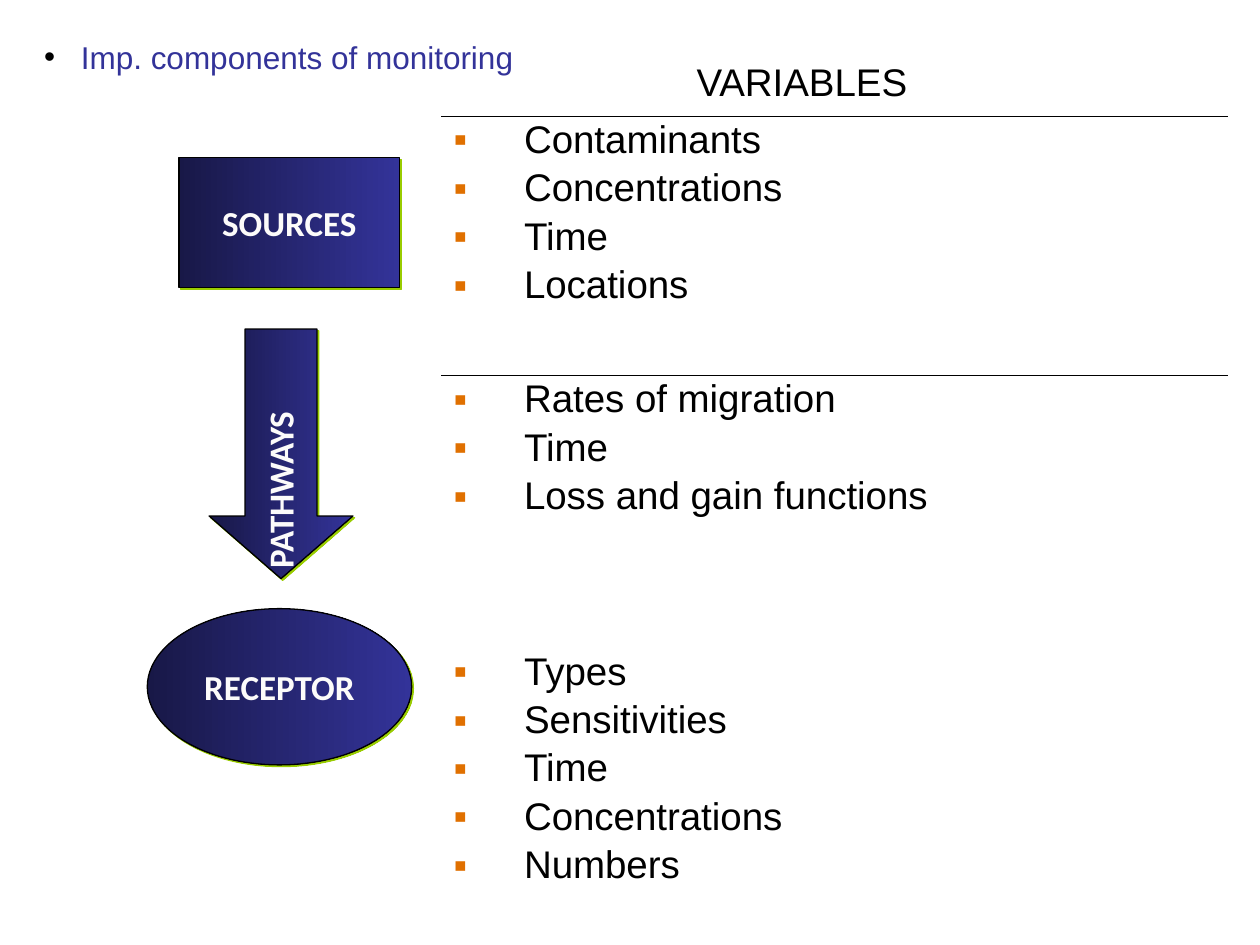
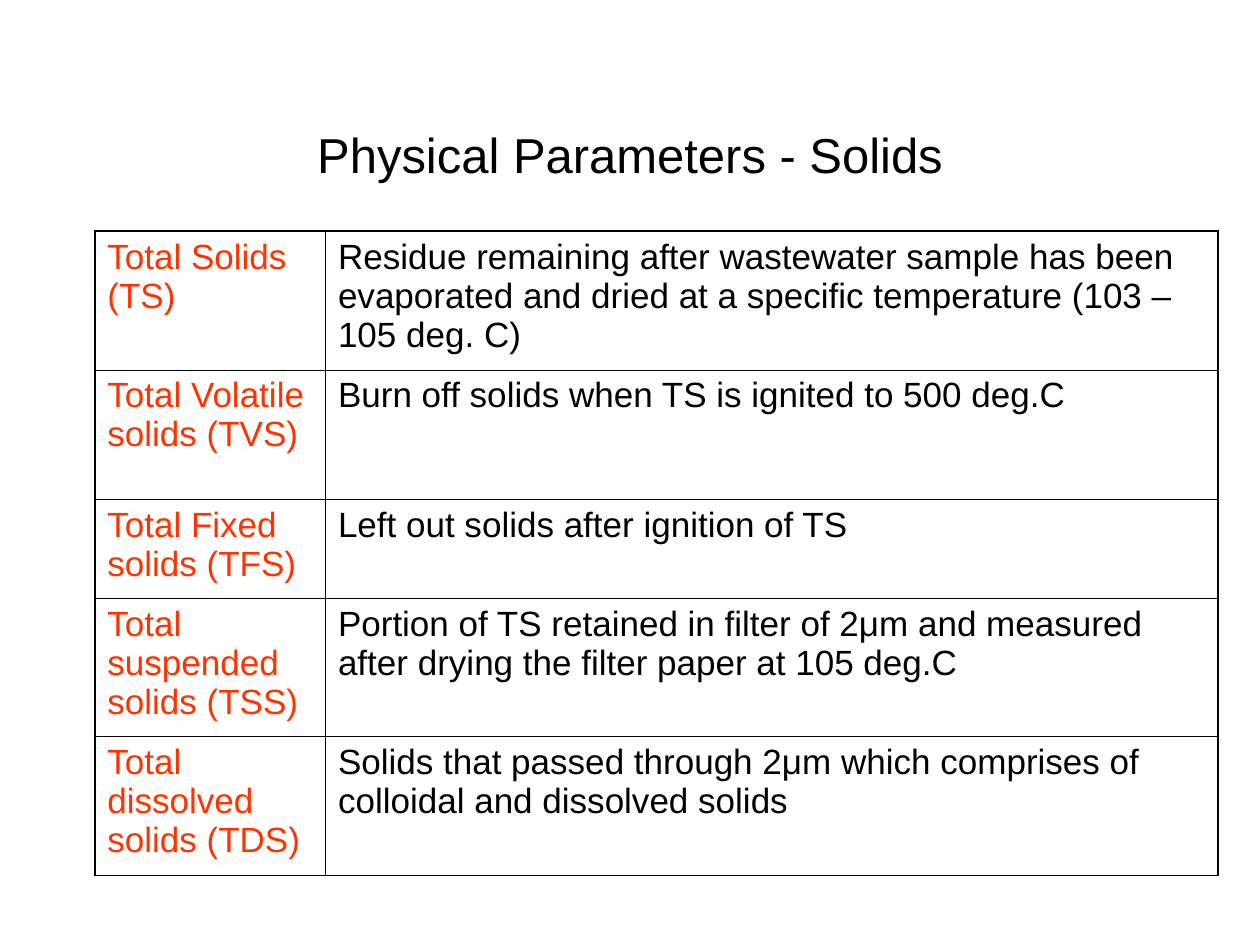
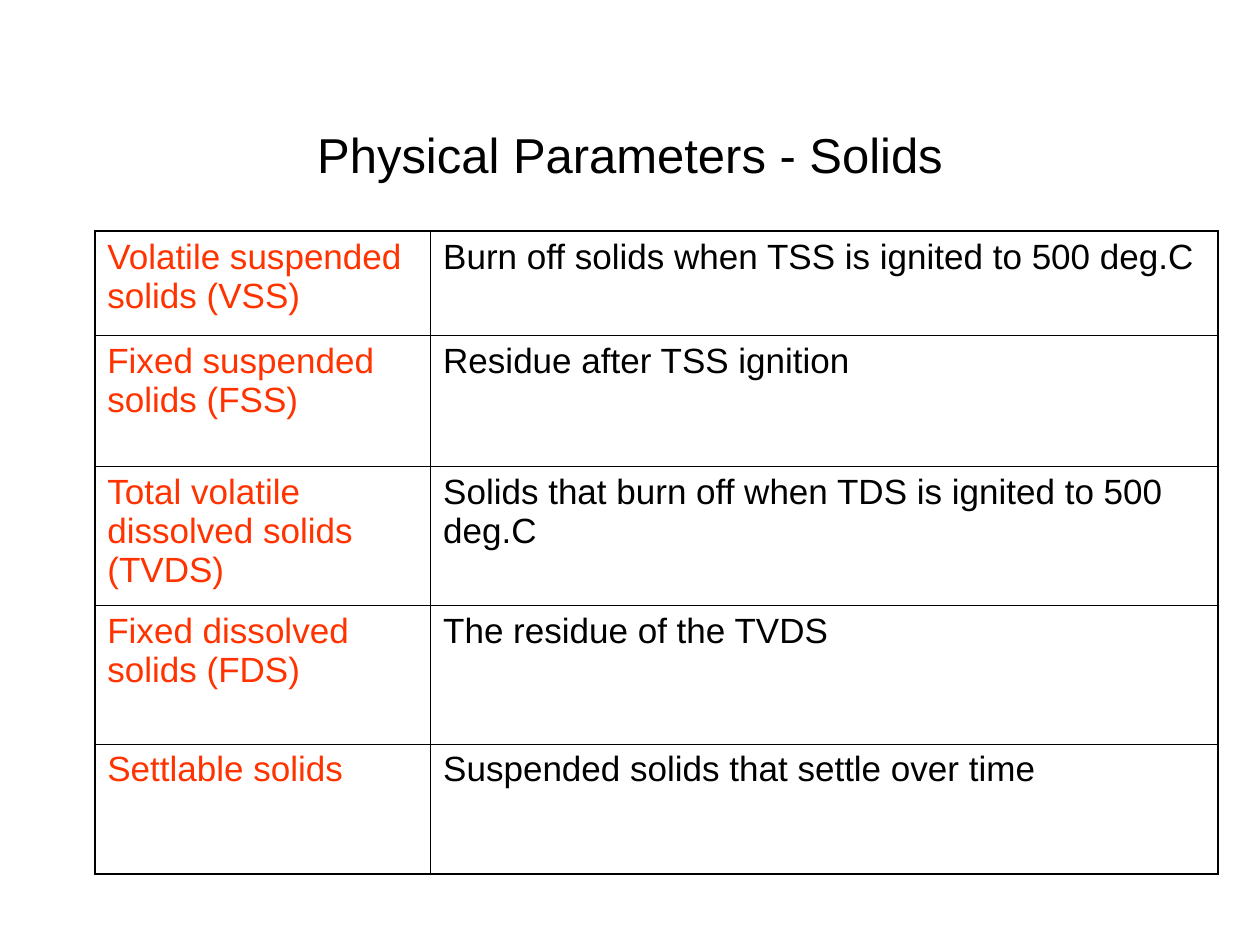
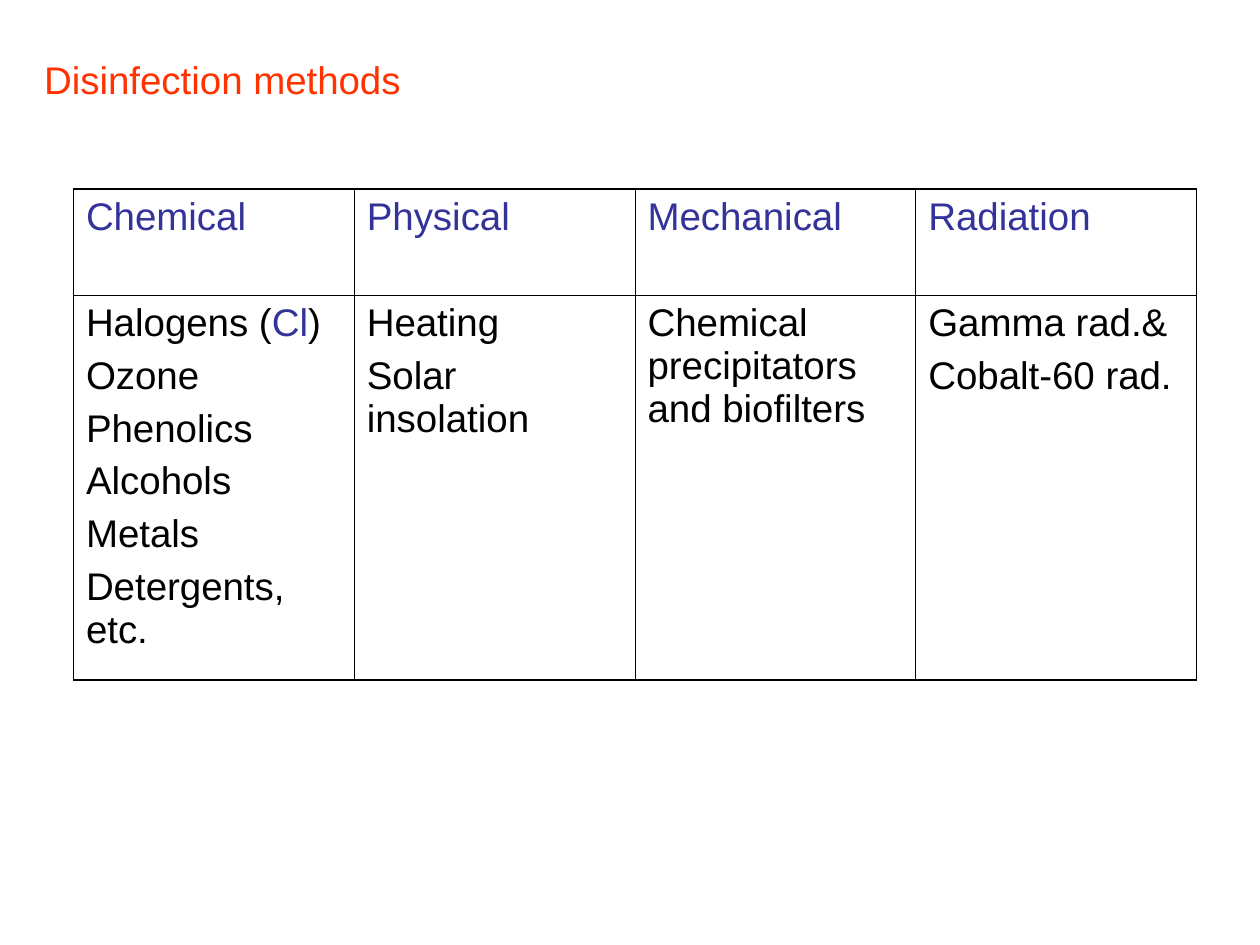
"""Build four slides on environmental monitoring, solids and disinfection."""
from lxml.etree import SubElement
from pptx import Presentation
from pptx.dml.color import RGBColor
from pptx.enum.shapes import MSO_SHAPE
from pptx.enum.text import MSO_ANCHOR, PP_ALIGN
from pptx.oxml.ns import qn
from pptx.util import Cm, Pt

BLACK, WHITE, RED, BLUE = "000000", "FCFBFA", "FF3300", "333399"
NAVY, GREEN, ORANGE = "181847", "99CC00", "E07000"
THICK, THIN = 1.08, 0.45
NO_STYLE = "{2D5ABB26-0587-4C30-8999-92F81FD0307C}"

MONITORING = "Imp. components of monitoring"
STAGES = [
    ("SOURCES", MSO_SHAPE.RECTANGLE, (3.61, 3.18, 4.45, 2.62)),
    ("", MSO_SHAPE.RIGHT_ARROW, (3.15, 7.7, 5.03, 2.9)),
    ("RECEPTOR", MSO_SHAPE.OVAL, (2.97, 12.27, 5.33, 3.15)),
]
VARIABLES = [
    ["Contaminants", "Concentrations", "Time", "Locations"],
    ["Rates of migration", "Time", "Loss and gain functions"],
    ["Types", "Sensitivities", "Time", "Concentrations", "Numbers"],
]
SOLIDS_TITLE = "Physical Parameters - Solids"
SOLIDS = [
    {
        "cols": [4.65, 17.99],
        "rows": [2.79, 2.62, 1.98, 2.79, 2.79],
        "text": [
            ("Total Solids (TS)",
             "Residue remaining after wastewater sample has been evaporated "
             "and dried at a specific temperature (103 – 105 deg. C)"),
            ("Total Volatile solids (TVS)",
             "Burn off solids when TS is ignited to 500 deg.C"),
            ("Total Fixed solids (TFS)", "Left out solids after ignition of TS"),
            ("Total suspended solids (TSS)",
             "Portion of TS retained in filter of 2μm and measured after "
             "drying the filter paper at 105 deg.C"),
            ("Total dissolved solids (TDS)",
             "Solids that passed through 2μm which comprises of colloidal "
             "and dissolved solids"),
        ],
    },
    {
        "cols": [6.77, 15.87],
        "rows": [2.11, 2.64, 2.79, 2.79, 2.62],
        "text": [
            ("Volatile suspended solids (VSS)",
             "Burn off solids when TSS is ignited to 500 deg.C"),
            ("Fixed suspended solids (FSS)", "Residue after TSS ignition"),
            ("Total volatile dissolved solids (TVDS)",
             "Solids that burn off when TDS is ignited to 500 deg.C"),
            ("Fixed dissolved solids (FDS)", "The residue of the TVDS"),
            ("Settlable solids", "Suspended solids that settle over time"),
        ],
    },
]
DISINFECTION = "Disinfection methods"
METHODS = {
    "Chemical": [[("Halogens (", BLACK), ("Cl", BLUE), (")", BLACK)], "Ozone",
                 "Phenolics", "Alcohols", "Metals", "Detergents, etc."],
    "Physical": ["Heating", "Solar insolation"],
    "Mechanical": ["Chemical precipitators and biofilters"],
    "Radiation": ["Gamma rad.&", "Cobalt-60 rad."],
}


def rgb(color):
    return RGBColor.from_string(color)


def add_color(parent, color):
    SubElement(parent, qn("a:srgbClr")).set("val", color)


def write(tf, paras, size=22, color=BLACK, font="Arial", bold=False, align=None,
          before=0, line=None, indent=0, bullet="", bullet_color=BLACK):
    for i, text in enumerate(paras):
        p = tf.add_paragraph() if i else tf.paragraphs[0]
        pPr = p._p.get_or_add_pPr()
        if indent:
            pPr.set("marL", str(Cm(indent)))
            pPr.set("indent", str(-Cm(indent)))
        if bullet:
            add_color(SubElement(pPr, qn("a:buClr")), bullet_color)
            SubElement(pPr, qn("a:buFont")).set("typeface", "Arial")
            SubElement(pPr, qn("a:buChar")).set("char", bullet)
        if align:
            p.alignment = align
        if line:
            p.line_spacing = line
        if i and before:
            p.space_before = Pt(before)
        runs = [(text, color)] if isinstance(text, str) else text
        for run_text, run_color in runs:
            r = p.add_run()
            r.text = run_text
            r.font.size, r.font.name, r.font.bold = Pt(size), font, bold
            r.font.color.rgb = rgb(run_color)


def add_text(slide, box, text, anchor=MSO_ANCHOR.TOP, **fmt):
    tb = slide.shapes.add_textbox(*map(Cm, box))
    tf = tb.text_frame
    tf.word_wrap = True
    tf.vertical_anchor = anchor
    write(tf, [text], **fmt)
    return tb


def add_label(tf, text):
    write(tf, [text], size=20, color=WHITE, font="Calibri", bold=True,
          align=PP_ALIGN.CENTER)


def add_stage(slide, text, kind, box):
    sp = slide.shapes.add_shape(kind, *map(Cm, box))
    sp.fill.gradient()
    sp.fill.gradient_angle = 0
    for stop, color in zip(sp.fill.gradient_stops, (NAVY, BLUE)):
        stop.color.rgb = rgb(color)
    spPr = sp._element.spPr
    spPr.find(qn("a:gradFill")).set("rotWithShape", "0")
    sp.line.color.rgb = rgb(BLACK)
    sp.line.width = Pt(0.75)
    sp.shadow.inherit = False
    shadow = SubElement(spPr.find(qn("a:effectLst")), qn("a:outerShdw"),
                        dist=str(Pt(1.4)), dir="2700000", algn="ctr", rotWithShape="0")
    add_color(shadow, GREEN)
    if text:
        sp.text_frame.word_wrap = False
        sp.text_frame.vertical_anchor = MSO_ANCHOR.MIDDLE
        add_label(sp.text_frame, text)
    return sp


def set_border(cell, side, width):
    ln = SubElement(cell._tc.get_or_add_tcPr(), qn("a:ln" + side), w=str(Pt(width)))
    add_color(SubElement(ln, qn("a:solidFill")), BLACK)


def grid_borders(row, col, n_rows, n_cols):
    outer = {"L": col == 0, "R": col == n_cols - 1,
             "T": row == 0, "B": row == n_rows - 1}
    return {side: THICK if edge else THIN for side, edge in outer.items()}


def header_rule(row, col, n_rows, n_cols):
    return {0: {"B": THIN}, 1: {"T": THIN}}.get(row, {})


def add_grid(slide, left, top, cols, rows, borders=grid_borders):
    frame = slide.shapes.add_table(len(rows), len(cols), Cm(left), Cm(top),
                                   Cm(sum(cols)), Cm(sum(rows)))
    table = frame.table
    table.first_row = table.horz_banding = False
    table._tbl.tblPr.find(qn("a:tableStyleId")).text = NO_STYLE
    for col, width in zip(table.columns, cols):
        col.width = Cm(width)
    for i, height in enumerate(rows):
        table.rows[i].height = Cm(height)
        for j in range(len(cols)):
            cell = table.cell(i, j)
            for side, width in borders(i, j, len(rows), len(cols)).items():
                set_border(cell, side, width)
            cell.fill.background()
    return table


def monitoring_slide(slide):
    for text, kind, box in STAGES:
        sp = add_stage(slide, text, kind, box)
        if kind == MSO_SHAPE.RIGHT_ARROW:
            sp.rotation = 90
            sp.adjustments[0], sp.adjustments[1] = 0.5, 0.435
            tb = slide.shapes.add_textbox(Cm(5.08), Cm(5.92), Cm(1.35), Cm(5.79))
            tb.rotation = 180
            tf = tb.text_frame
            tf.word_wrap = True
            tf.margin_left = tf.margin_right = Cm(0.13)
            tf.margin_top = tf.margin_bottom = Cm(0.25)
            tf._txBody.bodyPr.set("vert", "eaVert")
            add_label(tf, "PATHWAYS")
    table = add_grid(slide, 8.89, 1.07, [14.55, 1.32], [1.27, 5.23, 5.49, 5.51],
                     header_rule)
    head = table.cell(0, 0)
    head.vertical_anchor = MSO_ANCHOR.MIDDLE
    write(head.text_frame, ["VARIABLES"], align=PP_ALIGN.CENTER, line=0.9)
    for i, group in enumerate(VARIABLES, 1):
        write(table.cell(i, 0).text_frame, group, line=0.9, before=5.5,
              indent=1.42, bullet="▪", bullet_color=ORANGE)
    add_text(slide, (0.64, 0.64, 12.9, 1.02), MONITORING, size=18, color=BLUE,
             indent=0.74, bullet="•")


def solids_slide(slide, data):
    add_text(slide, (1.27, 2.26, 22.86, 1.68), SOLIDS_TITLE, MSO_ANCHOR.MIDDLE,
             size=28, align=PP_ALIGN.CENTER)
    table = add_grid(slide, 1.91, 4.66, data["cols"], data["rows"])
    for i, texts in enumerate(data["text"]):
        for j, (text, color) in enumerate(zip(texts, (RED, BLACK))):
            write(table.cell(i, j).text_frame, [text], size=20, color=color)


def disinfection_slide(slide):
    add_text(slide, (0.64, 0.64, 12.07, 1.57), DISINFECTION, color=RED,
             align=PP_ALIGN.JUSTIFY, line=1.4, indent=1.27)
    table = add_grid(slide, 1.48, 3.81, [5.66] * len(METHODS), [2.15, 7.74])
    for j, (method, agents) in enumerate(METHODS.items()):
        write(table.cell(0, j).text_frame, [method], color=BLUE)
        write(table.cell(1, j).text_frame, agents, before=5.5)


def main():
    prs = Presentation()
    prs.slide_width, prs.slide_height = Cm(25.4), Cm(19.05)

    def new_slide():
        return prs.slides.add_slide(prs.slide_layouts[6])

    monitoring_slide(new_slide())
    for data in SOLIDS:
        solids_slide(new_slide(), data)
    disinfection_slide(new_slide())
    prs.save("out.pptx")


if __name__ == "__main__":
    main()
